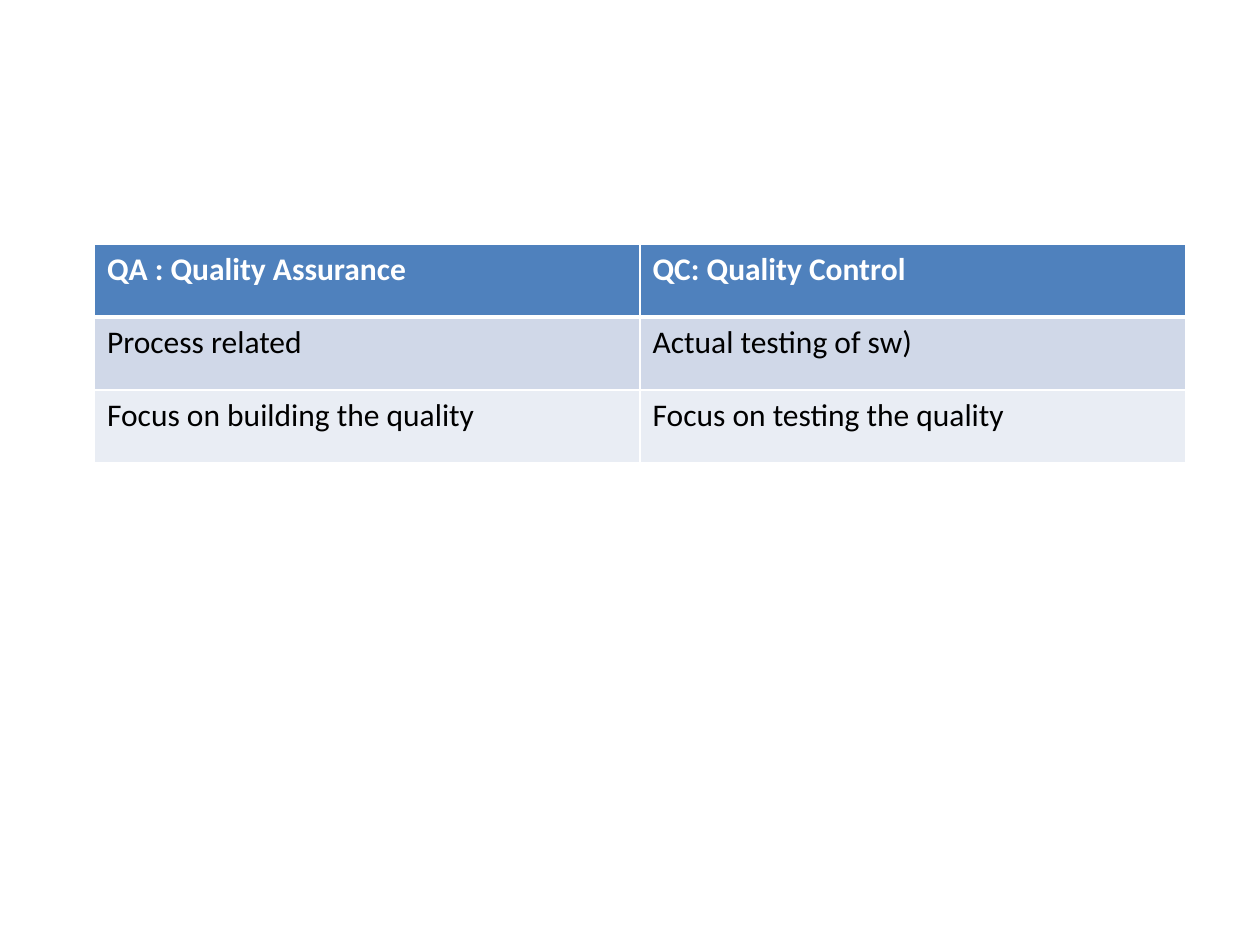
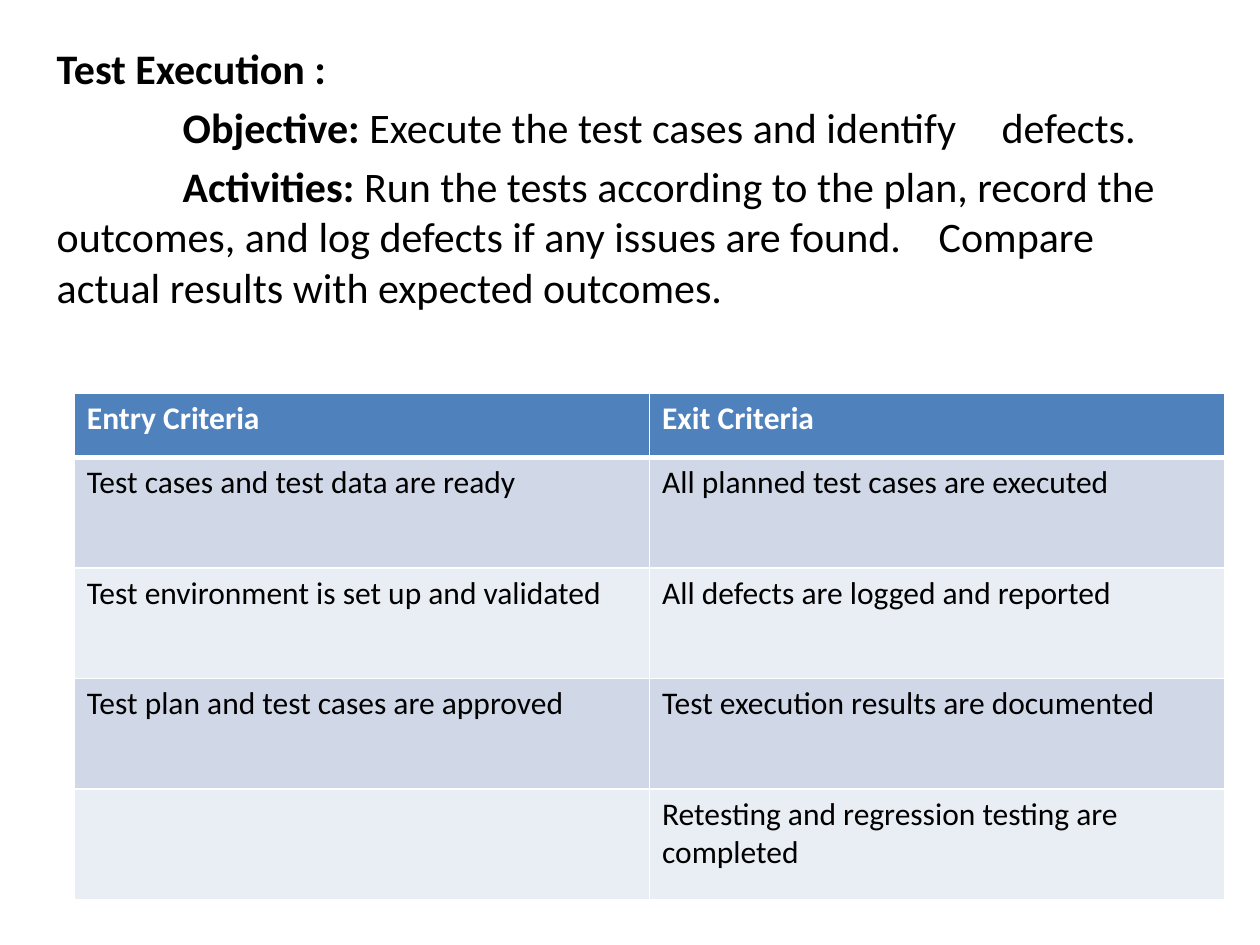
"""Build two slides on software testing: QA versus QC, and test execution."""
import pptx
import pptx.dml.color
import pptx.enum.text
import pptx.oxml
import pptx.oxml.ns
import pptx.util

WHITE = pptx.dml.color.RGBColor(0xFF, 0xFF, 0xFF)
BLACK = pptx.dml.color.RGBColor(0x00, 0x00, 0x00)
HEADER_BLUE = pptx.dml.color.RGBColor(0x4F, 0x81, 0xBD)
BANDS = (
    pptx.dml.color.RGBColor(0xD0, 0xD8, 0xE8),
    pptx.dml.color.RGBColor(0xE9, 0xED, 0xF4),
)
FONT = "Calibri"
COLUMNS, ROWS = 100, 75
CONTENT_LAYOUT, BLANK_LAYOUT = 1, 6

QUALITY_ROWS = [
    ("QA : Quality Assurance", "QC: Quality Control"),
    ("Process related", "Actual testing of sw)"),
    ("Focus on building the quality", "Focus on testing the quality"),
]
EXECUTION_STEPS = [
    ("Objective:", " Execute the test cases and identify \tdefects."),
    ("Activities:", " Run the tests according to the plan, record the \toutcomes, and log "
     "defects if any issues are found. \tCompare actual results with expected outcomes."),
]
CRITERIA_ROWS = [
    ("Entry Criteria", "Exit Criteria"),
    ("Test cases and test data are ready", "All planned test cases are executed"),
    ("Test environment is set up and validated", "All defects are logged and reported"),
    ("Test plan and test cases are approved", "Test execution results are documented"),
    ("", "Retesting and regression testing are completed"),
]


def write(paragraph, text, size=18, bold=False, color=BLACK):
    run = paragraph.add_run()
    run.text = text
    run.font.name = FONT
    run.font.size = pptx.util.Pt(size)
    run.font.bold = bold
    run.font.color.rgb = color


def draw_border(cell, side, points):
    line = pptx.oxml.parse_xml(
        f'<a:ln{side} {pptx.oxml.ns.nsdecls("a")} w="{pptx.util.Pt(points)}">'
        f'<a:solidFill><a:srgbClr val="{WHITE}"/></a:solidFill></a:ln{side}>'
    )
    cell._tc.get_or_add_tcPr().append(line)


class Deck:
    def __init__(self):
        self.presentation = pptx.Presentation()
        self.presentation.slide_width = pptx.util.Inches(10)
        self.presentation.slide_height = pptx.util.Inches(7.5)
        self.slide = None

    def across(self, columns):
        return round(self.presentation.slide_width * columns / COLUMNS)

    def down(self, rows):
        return round(self.presentation.slide_height * rows / ROWS)

    def start_slide(self, layout):
        self.slide = self.presentation.slides.add_slide(
            self.presentation.slide_layouts[layout])

    def body(self, left, top, width, height, heading, steps, size=24):
        title = self.slide.shapes.title
        title._element.getparent().remove(title._element)
        body = self.slide.placeholders[1]
        body.left, body.top = self.across(left), self.down(top)
        body.width, body.height = self.across(width), self.down(height)
        frame = body.text_frame
        frame.auto_size = pptx.enum.text.MSO_AUTO_SIZE.NONE
        for index, (label, detail) in enumerate([(heading, ""), *steps]):
            paragraph = frame.add_paragraph() if index else frame.paragraphs[0]
            properties = paragraph._p.get_or_add_pPr()
            properties.set("marL", "0")
            properties.set("indent", str(pptx.util.Inches(1 if index else 0)))
            properties.append(pptx.oxml.parse_xml(
                f'<a:buNone {pptx.oxml.ns.nsdecls("a")}/>'))
            write(paragraph, label, size=size, bold=True)
            if detail:
                write(paragraph, detail, size=size)

    def table(self, left, top, width, header_height, row_height, content):
        heights = [header_height] + [row_height] * (len(content) - 1)
        table = self.slide.shapes.add_table(
            len(content), len(content[0]), self.across(left), self.down(top),
            self.across(width), self.down(sum(heights))).table
        for row, height in zip(table.rows, heights):
            row.height = self.down(height)
        for row_index, texts in enumerate(content):
            for column_index, text in enumerate(texts):
                self.cell(table.cell(row_index, column_index), row_index, text)

    def cell(self, cell, row_index, text):
        is_header = row_index == 0
        borders = {"L": 1, "R": 1, "T": 3 if row_index == 1 else 1, "B": 3 if is_header else 1}
        for side, points in borders.items():
            draw_border(cell, side, points)
        cell.fill.solid()
        cell.fill.fore_color.rgb = HEADER_BLUE if is_header else BANDS[(row_index - 1) % 2]
        if text:
            write(cell.text_frame.paragraphs[0], text, bold=is_header,
                  color=WHITE if is_header else BLACK)


def main():
    deck = Deck()
    deck.start_slide(BLANK_LAYOUT)
    deck.table(7.5, 19.4, 86.6, 5.77, 5.77, QUALITY_ROWS)

    deck.start_slide(CONTENT_LAYOUT)
    deck.body(3.5, 2.9, 90, 49.5, "Test Execution :", EXECUTION_STEPS)
    deck.table(5.9, 31.2, 91.3, 5.1, 8.77, CRITERIA_ROWS)
    deck.presentation.save("out.pptx")


if __name__ == "__main__":
    main()
